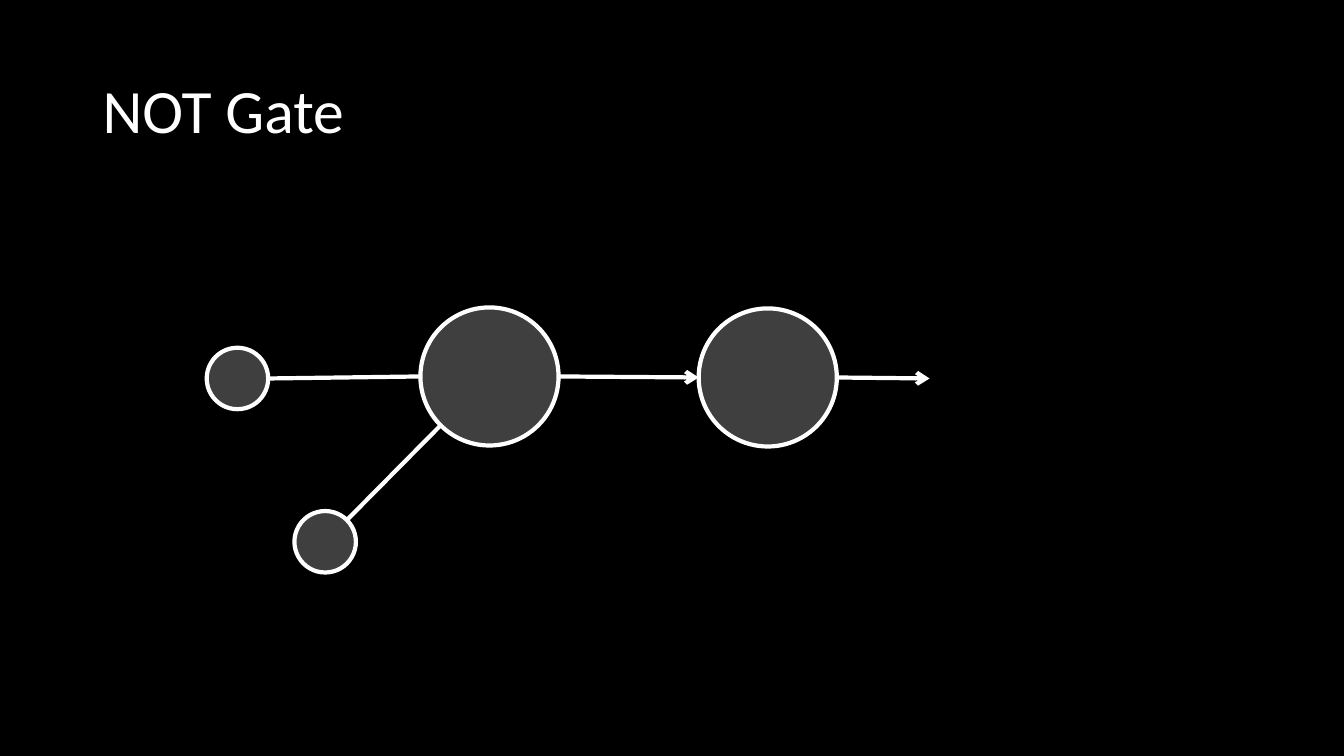
import math

from lxml import etree
from pptx import Presentation
from pptx.dml.color import RGBColor
from pptx.enum.shapes import MSO_CONNECTOR, MSO_SHAPE
from pptx.enum.text import MSO_ANCHOR
from pptx.oxml.ns import qn
from pptx.util import Pt

PX = 9144
BLACK = RGBColor(0x00, 0x00, 0x00)
WHITE = RGBColor(0xFF, 0xFF, 0xFF)
GREY = RGBColor(0x7F, 0x7F, 0x7F)
OVAL = MSO_SHAPE.OVAL
STRAIGHT = MSO_CONNECTOR.STRAIGHT
MIDDLE = MSO_ANCHOR.MIDDLE

INPUT_SIZE = 61
NEURON_SIZE = 137
OUTPUT_LENGTH = 92
RIGHT, LEFT, UP_RIGHT, DOWN_LEFT = 0, 180, -45, 135


def px(length):
    """Turn px into EMU."""
    return round(length * PX)


def add_title(page, left, top, width, height):
    """Write the slide title in the given box."""
    box = page.shapes.add_textbox(px(left), px(top), px(width), px(height))
    frame = box.text_frame
    frame.word_wrap = True
    frame.vertical_anchor = MIDDLE
    frame.text = "NOT Gate"
    para = frame.paragraphs[0]
    para.line_spacing = 0.9
    font = para.runs[0].font
    font.name = "Calibri"
    font.size = Pt(44)
    font.color.rgb = WHITE


def add_node(page, left, top, size):
    """Draw a half-transparent circle."""
    node = page.shapes.add_shape(OVAL, px(left), px(top), px(size), px(size))
    node.shadow.inherit = False
    node.fill.solid()
    node.fill.fore_color.rgb = GREY
    color = node.fill._xPr.find(qn("a:solidFill"))[0]
    etree.SubElement(color, qn("a:alpha"), val="50000")
    node.line.color.rgb = WHITE
    node.line.width = Pt(3)
    return node


def rim(node, degrees):
    """Return the point on a circle at a clockwise angle from the right."""
    radius = node.width / 2
    angle = math.radians(degrees)
    return (round(node.left + radius * (1 + math.cos(angle))),
            round(node.top + radius * (1 + math.sin(angle))))


def add_link(page, start, end, arrow=False):
    """Draw a white line between two points, with an optional arrowhead."""
    link = page.shapes.add_connector(STRAIGHT, *start, *end)
    link.line.color.rgb = WHITE
    link.line.width = Pt(3)
    if arrow:
        etree.SubElement(link.line._get_or_add_ln(), qn("a:tailEnd"), type="arrow")
    etree.SubElement(link._element.spPr, qn("a:effectLst"))


def add_network(page, left, top):
    """Draw the inputs, the two neurons and the output arrow."""
    signal = add_node(page, left, top + 40, INPUT_SIZE)
    bias = add_node(page, left + 87, top + 202, INPUT_SIZE)
    hidden = add_node(page, left + 212, top, NEURON_SIZE)
    output = add_node(page, left + 488, top + 1, NEURON_SIZE)
    add_link(page, rim(signal, RIGHT), rim(hidden, LEFT))
    add_link(page, rim(bias, UP_RIGHT), rim(hidden, DOWN_LEFT))
    add_link(page, rim(hidden, RIGHT), rim(output, LEFT), arrow=True)
    exit_x, exit_y = rim(output, RIGHT)
    add_link(page, (exit_x, exit_y),
             (exit_x + px(OUTPUT_LENGTH), exit_y + px(1)), arrow=True)


def main():
    """Build and save the deck."""
    deck = Presentation()
    deck.slide_width = px(1333)
    deck.slide_height = px(750)
    page = deck.slides.add_slide(deck.slide_layouts[6])
    page.background.fill.solid()
    page.background.fill.fore_color.rgb = BLACK
    add_title(page, 92, 40, 1150, 145)
    add_network(page, 205, 305)
    deck.save("out.pptx")


if __name__ == "__main__":
    main()
